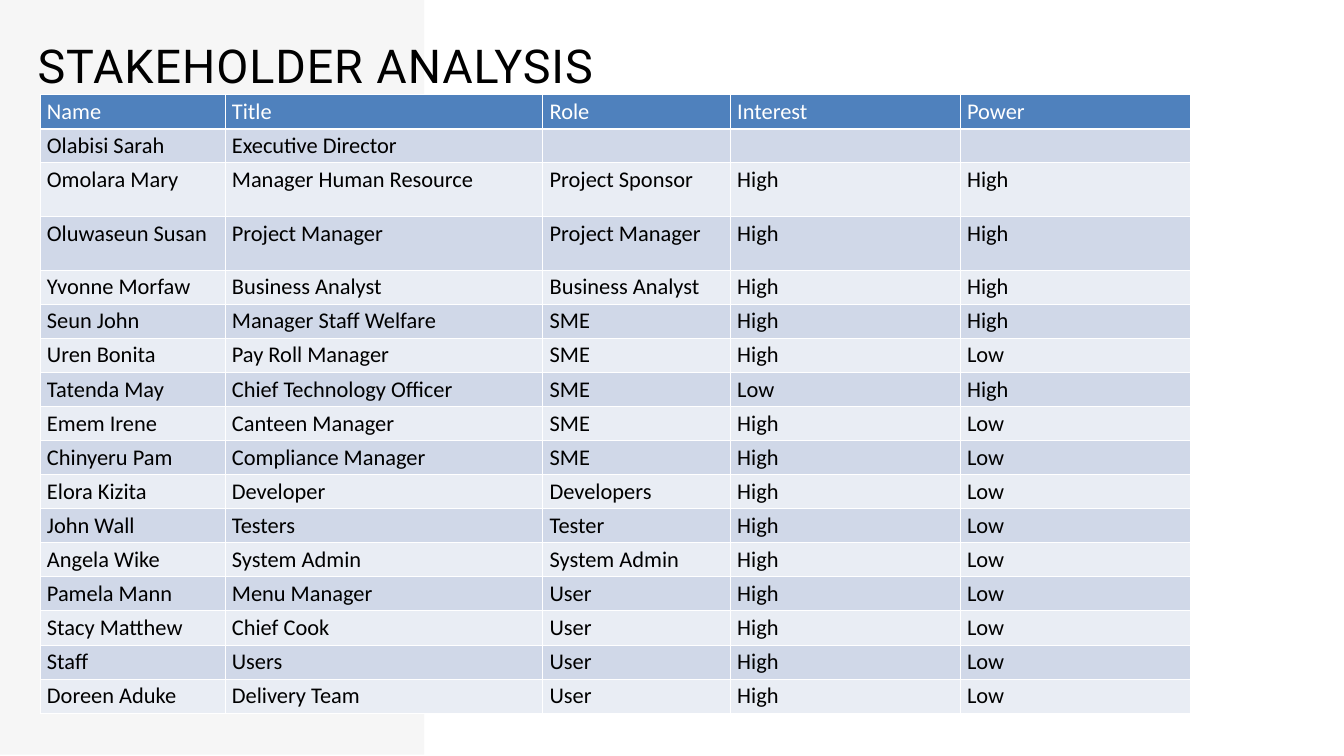
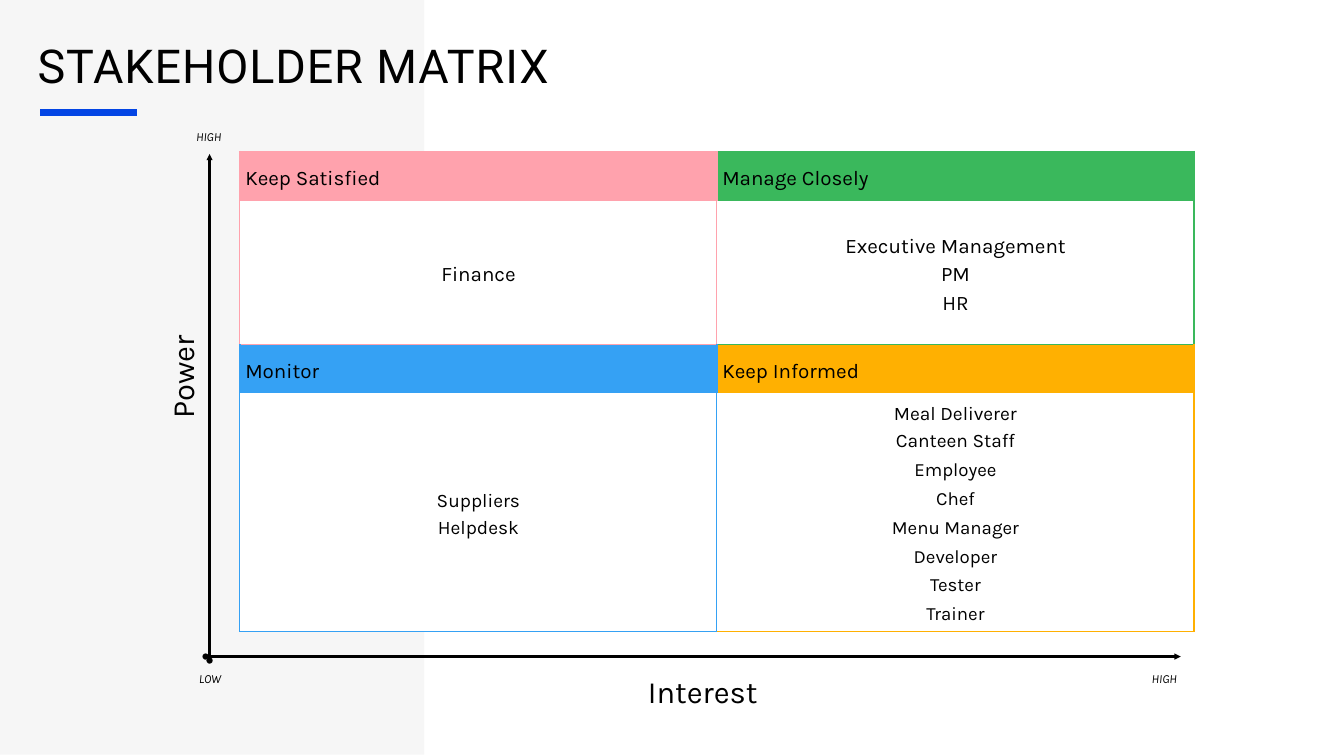
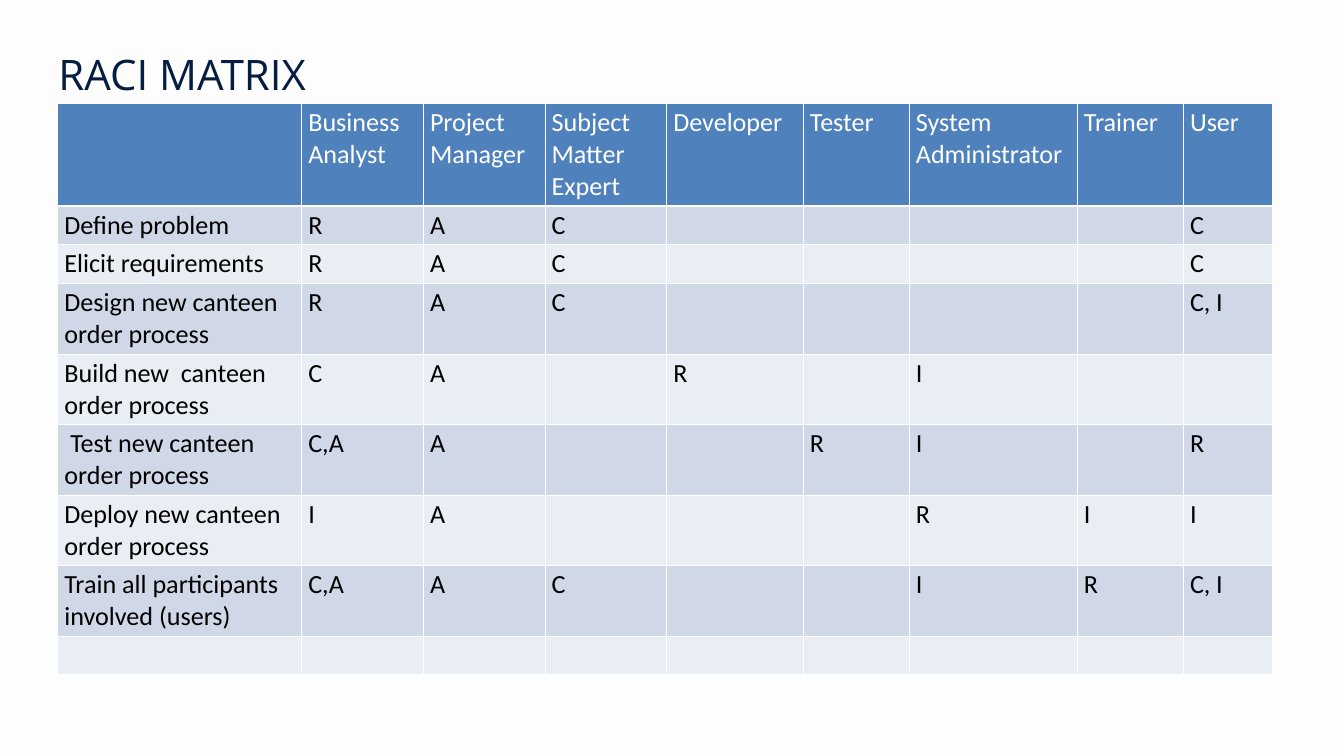
"""Build the stakeholder table, the stakeholder matrix and the RACI matrix."""
from lxml.etree import SubElement
from pptx import Presentation
from pptx.dml.color import RGBColor
from pptx.enum.shapes import MSO_CONNECTOR, MSO_SHAPE
from pptx.enum.text import MSO_ANCHOR, MSO_AUTO_SIZE, PP_ALIGN
from pptx.oxml import parse_xml
from pptx.oxml.ns import nsdecls, qn
from pptx.util import Cm, Pt

BLACK = RGBColor(0x00, 0x00, 0x00)
WHITE = RGBColor(0xFF, 0xFF, 0xFF)
PAPER = RGBColor(0xFD, 0xFD, 0xFD)
PANEL = RGBColor(0xF6, 0xF6, 0xF6)
NAVY = RGBColor(0x05, 0x1D, 0x40)
ACCENT = RGBColor(0x03, 0x45, 0xE4)
HEAD = RGBColor(0x4F, 0x81, 0xBD)
BANDS = (RGBColor(0xD0, 0xD8, 0xE8), RGBColor(0xE9, 0xED, 0xF4))
PINK = RGBColor(0xFF, 0xA2, 0xAD)
GREEN = RGBColor(0x3A, 0xB8, 0x5C)
BLUE = RGBColor(0x35, 0xA1, 0xF4)
AMBER = RGBColor(0xFF, 0xB0, 0x01)

LEFT, MID = PP_ALIGN.LEFT, PP_ALIGN.CENTER
AXIS = {"name": "Karla", "size": Pt(33.1)}
MARK = {"name": "Karla", "size": Pt(13.3), "italic": True}

PEOPLE = [
    ("Name", "Title", "Role", "Interest", "Power"),
    ("Olabisi Sarah", "Executive Director", "", "", ""),
    ("Omolara Mary", "Manager Human Resource", "Project Sponsor", "High", "High"),
    ("Oluwaseun Susan", "Project Manager", "Project Manager", "High", "High"),
    ("Yvonne Morfaw", "Business Analyst", "Business Analyst", "High", "High"),
    ("Seun John", "Manager Staff Welfare", "SME", "High", "High"),
    ("Uren Bonita", "Pay Roll Manager", "SME", "High", "Low"),
    ("Tatenda May", "Chief Technology Officer", "SME", "Low", "High"),
    ("Emem Irene", "Canteen Manager", "SME", "High", "Low"),
    ("Chinyeru Pam", "Compliance Manager", "SME", "High", "Low"),
    ("Elora Kizita", "Developer", "Developers", "High", "Low"),
    ("John Wall", "Testers", "Tester", "High", "Low"),
    ("Angela Wike", "System Admin", "System Admin", "High", "Low"),
    ("Pamela Mann", "Menu Manager", "User", "High", "Low"),
    ("Stacy Matthew", "Chief Cook", "User", "High", "Low"),
    ("Staff", "Users", "User", "High", "Low"),
    ("Doreen Aduke", "Delivery Team", "User", "High", "Low"),
]
RACI = [
    ("", "Business Analyst", "Project Manager", "Subject Matter Expert",
     "Developer", "Tester", "System Administrator", "Trainer", "User"),
    ("Define problem", "R", "A", "C", "", "", "", "", "C"),
    ("Elicit requirements", "R", "A", "C", "", "", "", "", "C"),
    ("Design new canteen order process", "R", "A", "C", "", "", "", "", "C, I"),
    ("Build new  canteen order process", "C", "A", "", "R", "", "I", "", ""),
    (" Test new canteen order process", "C,A", "A", "", "", "R", "I", "", "R"),
    ("Deploy new canteen order process", "I", "A", "", "", "", "R", "I", "I"),
    ("Train all participants involved (users)",
     "C,A", "A", "C", "", "", "I", "R", "C, I"),
    ("",) * 9,
]
QUADS = [
    [("Keep Satisfied", PINK, [(22.1, 30.9, ["Finance"])]),
     ("Manage Closely", GREEN,
      [(22.1, 30.9, ["Executive Management", "PM", "HR"])])],
    [("Monitor", BLUE, [(20.5, 28.7, ["Suppliers", "Helpdesk"])]),
     ("Keep Informed", AMBER,
      [(20.5, 28.7, ["Meal Deliverer", "Canteen Staff"]),
       (20, 30.9, ["Employee", "Chef", "Menu Manager", "Developer",
                   "Tester", "Trainer"])])],
]


class Deck:
    """Hold the style and the current slide."""

    def __init__(self):
        self.prs = Presentation()
        self.prs.slide_width, self.prs.slide_height = Cm(50.8), Cm(28.58)
        self.slide = None

    def start(self, color=WHITE):
        """Open a title-only slide on a plain background."""
        self.slide = self.prs.slides.add_slide(self.prs.slide_layouts[5])
        self.slide.background.fill.solid()
        self.slide.background.fill.fore_color.rgb = color

    def panel(self):
        """Draw the pale panel on the left."""
        box = self.slide.shapes.add_shape(
            MSO_SHAPE.RECTANGLE, Cm(-0.18), Cm(-0.05), Cm(16.21), Cm(28.58))
        box.shadow.inherit = False
        box.fill.solid()
        box.fill.fore_color.rgb = PANEL
        box.line.fill.background()

    def put(self, frame, text, font, color=BLACK, align=LEFT, lead=None, more=False):
        """Set one paragraph, in the first one unless more is set."""
        para = frame.add_paragraph() if more else frame.paragraphs[0]
        para.alignment = align
        if lead:
            para.line_spacing = Pt(lead)
        run = para.add_run()
        run.text = text
        for key, value in font.items():
            setattr(run.font, key, value)
        run.font.color.rgb = color
        return run

    def clear(self, frame):
        """Give a text frame no margins and wrapped text from the top."""
        form = {"margin_left": 0, "margin_right": 0, "margin_top": 0,
                "margin_bottom": 0, "word_wrap": True,
                "auto_size": MSO_AUTO_SIZE.NONE, "vertical_anchor": MSO_ANCHOR.TOP}
        for key, value in form.items():
            setattr(frame, key, value)

    def title(self, text, place=(1.42, 1.04, 29.92, 2.41), name="Roboto",
              size=50, lead=70, color=BLACK, space=100):
        """Place the title above everything drawn so far."""
        box = self.slide.shapes.title
        box.left, box.top, box.width, box.height = map(Cm, place)
        box.element.getparent().append(box.element)
        self.clear(box.text_frame)
        font = {"name": name, "size": Pt(size)}
        run = self.put(box.text_frame, text, font, color, lead=lead)
        run.font._element.set("spc", str(space))

    def label(self, text, place, font, lead, turn=0):
        """Add a centred label."""
        box = self.slide.shapes.add_textbox(*map(Cm, place))
        box.rotation = turn
        self.clear(box.text_frame)
        self.put(box.text_frame, text, font, align=MID, lead=lead)

    def line(self, start, end, color, width, tips=()):
        """Draw a straight line, with tips at its start and end."""
        link = self.slide.shapes.add_connector(
            MSO_CONNECTOR.STRAIGHT, *map(Cm, start + end))
        link.line.color.rgb = color
        link.line.width = Pt(width)
        for tag, tip in zip(("a:headEnd", "a:tailEnd"), tips):
            SubElement(link.line._ln, qn(tag), type=tip)
        SubElement(link.element.spPr, qn("a:effectLst"))

    def table(self, left, top, cols, rows):
        """Add an unbanded table with the given column and row sizes."""
        grid = self.slide.shapes.add_table(
            len(rows), len(cols), Cm(left), Cm(top),
            Cm(sum(cols)), Cm(sum(rows))).table
        grid.first_row = grid.horz_banding = False
        for col, width in zip(grid.columns, cols):
            col.width = Cm(width)
        for row, height in zip(grid.rows, rows):
            row.height = Cm(height)
        return grid

    def paint(self, cell, fill, edges):
        """Fill a cell and set its left, right, top and bottom edges."""
        cell.fill.solid()
        cell.fill.fore_color.rgb = fill
        for spot, (side, (color, width)) in enumerate(zip("LRTB", edges)):
            cell._tc.tcPr.insert(spot, parse_xml(
                f'<a:ln{side} {nsdecls("a")} w="{int(Pt(width))}"><a:solidFill>'
                f'<a:srgbClr val="{color}"/></a:solidFill></a:ln{side}>'))

    def banded(self, data, left, top, cols, rows, size):
        """Add a table with a blue head and two row shades."""
        grid = self.table(left, top, cols, rows)
        font = {"name": "Calibri", "size": Pt(size)}
        for r, texts in enumerate(data):
            fill = BANDS[(r - 1) % 2] if r else HEAD
            base = 1 if r else 3
            for c, text in enumerate(texts):
                cell = grid.cell(r, c)
                self.paint(cell, fill, [(WHITE, 1)] * 3 + [(WHITE, base)])
                if text:
                    self.put(cell.text_frame, text, font, BLACK if r else WHITE)

    def quads(self, left, top, cols, rows):
        """Add the two-by-two matrix, a head and a body for each part."""
        grid = self.table(left, top, cols, rows)
        for r, pair in enumerate(QUADS):
            for c, (name, color, groups) in enumerate(pair):
                head, body = grid.cell(2 * r, c), grid.cell(2 * r + 1, c)
                side = pair[0][1]
                over = (QUADS[0][c][1], 1.25) if r else (color, 2.42)
                self.paint(head, color, [(side, 2.42), (color, 2.42), over, (color, 0)])
                self.paint(body, WHITE, [(side, 1.25), (color, 1.25),
                                         (color, 0), (color, 1.25)])
                for cell in (head, body):
                    cell.vertical_anchor = MSO_ANCHOR.MIDDLE
                    for edge in ("left", "right", "top", "bottom"):
                        setattr(cell, f"margin_{edge}", Cm(0.2))
                self.put(head.text_frame, name,
                         {"name": "Karla", "size": Pt(22.1)}, lead=30.9)
                more = False
                for size, lead, names in groups:
                    for item in names:
                        self.put(body.text_frame, item,
                                 {"name": "Karla", "size": Pt(size)},
                                 align=MID, lead=lead, more=more)
                        more = True


def main():
    deck = Deck()

    deck.start()
    deck.panel()
    deck.title("STAKEHOLDER ANALYSIS")
    deck.banded(PEOPLE, 1.52, 3.58, [6.99, 12.01, 7.09, 8.69, 8.69],
                [1.27] * 2 + [2.03] * 2 + [1.27] * 13, 24)

    deck.start()
    deck.panel()
    deck.line((1.52, 4.24), (5.18, 4.24), ACCENT, 7.5)
    deck.title("STAKEHOLDER MATRIX")
    deck.line((7.77, 24.82), (44.63, 24.82), BLACK, 2.25, ("oval", "triangle"))
    deck.line((7.92, 5.82), (7.92, 24.97), BLACK, 2.25, ("triangle", "oval"))
    deck.quads(9.07, 5.74, [18.03] * 2, [1.85, 5.43, 1.85, 8.99])
    deck.label("Power", (4.32, 13.46, 4.8, 1.57), AXIS, 46.4, 270)
    deck.label("Interest", (23.39, 25.2, 6.35, 1.6), AXIS, 46.4)
    for text, x, y in (("HIGH", 7.19, 4.8), ("HIGH", 43.31, 25.27),
                       ("LOW", 7.24, 25.27)):
        deck.label(text, (x, y, 1.4, 0.64), MARK, 18.6)

    deck.start(PAPER)
    deck.title("RACI MATRIX", (2.21, 1.5, 20.65, 2.13), "Open Sans", 45, 63, NAVY, 0)
    deck.banded(RACI, 2.18, 3.91,
                [9.22, 4.6, 4.6, 4.6, 5.16, 4.01, 6.35, 4.01, 3.38],
                [3.82, 1.43, 1.43] + [2.63] * 5 + [1.43], 28)

    deck.prs.save("out.pptx")


if __name__ == "__main__":
    main()
